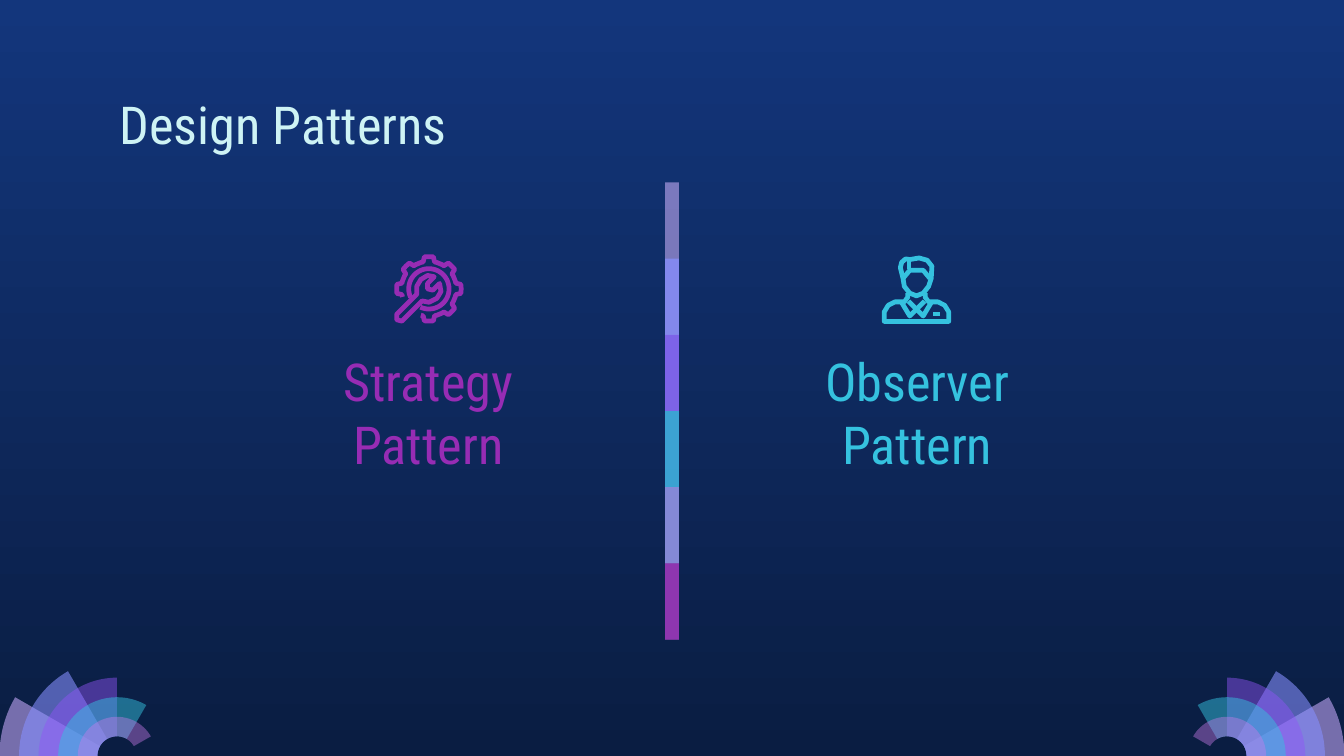
from math import cos, radians, sin

from lxml import etree
from pptx import Presentation
from pptx.dml.color import RGBColor
from pptx.enum import shapes, text
from pptx.oxml.ns import qn
from pptx.util import Cm, Pt

NIGHT_TOP = RGBColor(0x13, 0x36, 0x7C)
NIGHT_BOTTOM = RGBColor(0x0A, 0x1D, 0x42)
ICE = RGBColor(0xCE, 0xF3, 0xF5)
LILAC = RGBColor(0xC8, 0xAC, 0xFD)
PALE_LILAC = RGBColor(0xC8, 0xAE, 0xF8)
PERIWINKLE = RGBColor(0x87, 0x8F, 0xFF)
VIOLET = RGBColor(0x91, 0x54, 0xF8)
CYAN = RGBColor(0x35, 0xC2, 0xDF)
ORCHID = RGBColor(0xCA, 0x7B, 0xEB)
PURPLE = RGBColor(0x97, 0x2C, 0xB4)

WIDTH, HEIGHT = 25.4, 14.29
FAN = [(LILAC, 57), (PERIWINKLE, 58), (VIOLET, 46), (CYAN, 49), (ORCHID, 42)]
BARS = [(PALE_LILAC, 58), (PERIWINKLE, 74), (VIOLET, 53),
        (CYAN, 76), (ORCHID, 56), (PURPLE, 74)]

WRENCH = [(31, 17), (26, 22), (26, 26), (30, 27), (35, 22), (36, 28), (33, 33),
          (27, 36), (22, 35), (7, 50), (3, 49), (3, 45), (18, 30), (18, 24),
          (21, 19), (26, 16)]
HEAD = [(16, 17), (14, 9), (15, 5), (18, 2.5), (21, 3), (28, 1.8), (34, 3.5),
        (37.5, 8), (37, 17), (35, 23), (31, 28), (26, 30), (21, 28), (17, 23)]
HAIRLINE = [(16, 17), (21, 11), (31, 11), (36, 17)]
FRINGE = [(20.5, 3), (20.5, 10)]
LEFT_SHOULDER = [(19.5, 28), (19.5, 31), (17, 34.5), (10, 34.5), (5, 37),
                 (2, 42), (2, 49)]
LEFT_COLLAR = [(15, 35), (21, 45), (32, 34)]
POCKET = [(38.5, 43.5), (43.5, 43.5)]


def arc(center, radius, start, end, step=3):
    """Return points along a circle, angles in degrees and counted upwards."""
    count = max(1, round(abs(end - start) / step))
    angles = [radians(start + (end - start) * i / count) for i in range(count + 1)]
    return [(center[0] + radius * cos(a), center[1] - radius * sin(a)) for a in angles]


def mirror(points, width):
    """Flip points left to right within a width."""
    return [(width - x, y) for x, y in points]


def gear_rim(center, root, tip):
    """Return the toothed rim, open at the lower left for the handle."""
    points = []
    for angle in range(-90, 181, 45):
        points += arc(center, root, angle - 17, angle - 12)
        points += arc(center, tip, angle - 8, angle + 8)
        points += arc(center, root, angle + 12, angle + 17)
    return points


class SlideBuilder:
    """Hold the type style and the current page."""

    font_name = "Roboto Condensed"
    font_size = Pt(28)
    margin = Cm(0.25)
    stroke = Cm(0.09)

    def __init__(self, page):
        self.page = page

    def background(self, top, bottom):
        """Fill the page with a vertical gradient."""
        fill = self.page.background.fill
        fill.gradient()
        fill.gradient_angle = 270
        for stop, shade, position in zip(fill.gradient_stops, (top, bottom), (0, 1)):
            stop.color.rgb = shade
            stop.position = position

    def paint(self, shape, shade, opacity):
        """Give a shape a translucent fill and no line."""
        shape.shadow.inherit = False
        shape.fill.solid()
        shape.fill.fore_color.rgb = shade
        shape.line.fill.background()
        solid = shape.element.spPr.find(qn("a:solidFill"))
        etree.SubElement(solid[0], qn("a:alpha"), val=str(opacity * 1000))

    def bar(self, left, top, width, height, shade, opacity):
        """Add a translucent rectangle."""
        box = self.page.shapes.add_shape(
            shapes.MSO_SHAPE.RECTANGLE, Cm(left), Cm(top), Cm(width), Cm(height))
        self.paint(box, shade, opacity)

    def outline(self, contours, left=0, top=0, unit=1):
        """Build one freeform from (points, closed) contours."""
        builder = None
        for points, closed in contours:
            spots = [(Cm(left + x * unit), Cm(top + y * unit)) for x, y in points]
            if builder is None:
                builder = self.page.shapes.build_freeform(*spots[0])
            else:
                builder.move_to(*spots[0])
            builder.add_line_segments(spots[1:], close=closed)
        return builder.convert_to_shape()

    def petal(self, points, shade, opacity):
        """Add a translucent closed outline."""
        self.paint(self.outline([(points, True)]), shade, opacity)

    def icon(self, contours, left, top, shade):
        """Add a line icon drawn on a grid of 52 units."""
        shape = self.outline(contours, left, top, 0.0254)
        shape.shadow.inherit = False
        shape.fill.background()
        shape.line.color.rgb = shade
        shape.line.width = self.stroke

    def set_words(self, box, words, shade, align):
        """Set the words of a box in the page style."""
        frame = box.text_frame
        frame.word_wrap = True
        frame.auto_size = text.MSO_AUTO_SIZE.NONE
        frame.vertical_anchor = text.MSO_ANCHOR.TOP
        frame.margin_left = frame.margin_right = self.margin
        frame.margin_top = frame.margin_bottom = self.margin
        frame.text = words
        for para in frame.paragraphs:
            para.alignment = align
            para.font.name = self.font_name
            para.font.size = self.font_size
            para.font.color.rgb = shade

    def title(self, words, left, top, width, height, shade):
        """Place and fill the title placeholder."""
        box = self.page.shapes.title
        box.left, box.top, box.width, box.height = map(Cm, (left, top, width, height))
        self.set_words(box, words, shade, text.PP_ALIGN.LEFT)

    def label(self, words, left, top, width, height, shade):
        """Add a centred text box."""
        box = self.page.shapes.add_textbox(*map(Cm, (left, top, width, height)))
        self.set_words(box, words, shade, text.PP_ALIGN.CENTER)


def main():
    """Build the design patterns slide."""
    deck = Presentation()
    deck.slide_width, deck.slide_height = Cm(WIDTH), Cm(HEIGHT)
    builder = SlideBuilder(deck.slides.add_slide(deck.slide_layouts[5]))
    builder.background(NIGHT_TOP, NIGHT_BOTTOM)

    ring = 0.37
    hub = (2.21, HEIGHT)
    petals = [arc(hub, ring * (6 - i), 180, 150 - 30 * i)
              + arc(hub, ring, 150 - 30 * i, 180) for i in range(5)]
    for side in (petals, [mirror(petal, WIDTH) for petal in petals]):
        for petal, (shade, opacity) in zip(side, FAN):
            builder.petal(petal, shade, opacity)

    step = 1.44
    for i, (shade, opacity) in enumerate(BARS):
        rows = min(2, len(BARS) - i)
        builder.bar(12.57, 3.45 + i * step, 0.26, rows * step, shade, opacity)

    builder.title("Design Patterns", 2.01, 1.5, 21.41, 1.6, ICE)
    builder.label("Observer\nPattern", 14.35, 6.35, 5.97, 1.6, CYAN)
    builder.label("Strategy\vPattern", 5.11, 6.35, 5.97, 1.6, PURPLE)

    middle = (27, 26)
    gear = [(gear_rim(middle, 20.5, 24), False),
            (arc(middle, 15, -115, 205), False), (WRENCH, True)]
    builder.icon(gear, 7.42, 4.8, PURPLE)

    shoulders = LEFT_SHOULDER + mirror(LEFT_SHOULDER, 52)[::-1]
    person = [(HEAD, True)] + [(line, False) for line in (
        HAIRLINE, FRINGE, shoulders, LEFT_COLLAR, mirror(LEFT_COLLAR, 52), POCKET)]
    builder.icon(person, 16.66, 4.83, CYAN)

    deck.save("out.pptx")


if __name__ == "__main__":
    main()
